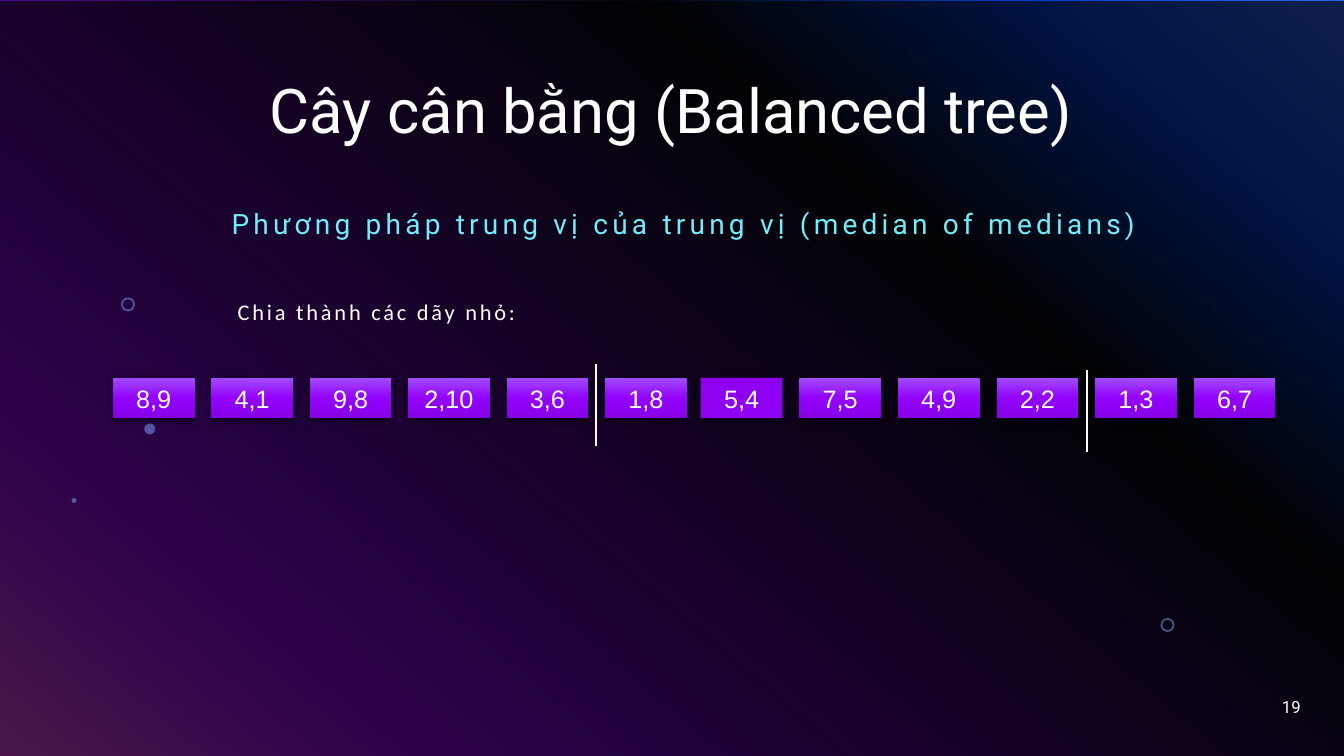
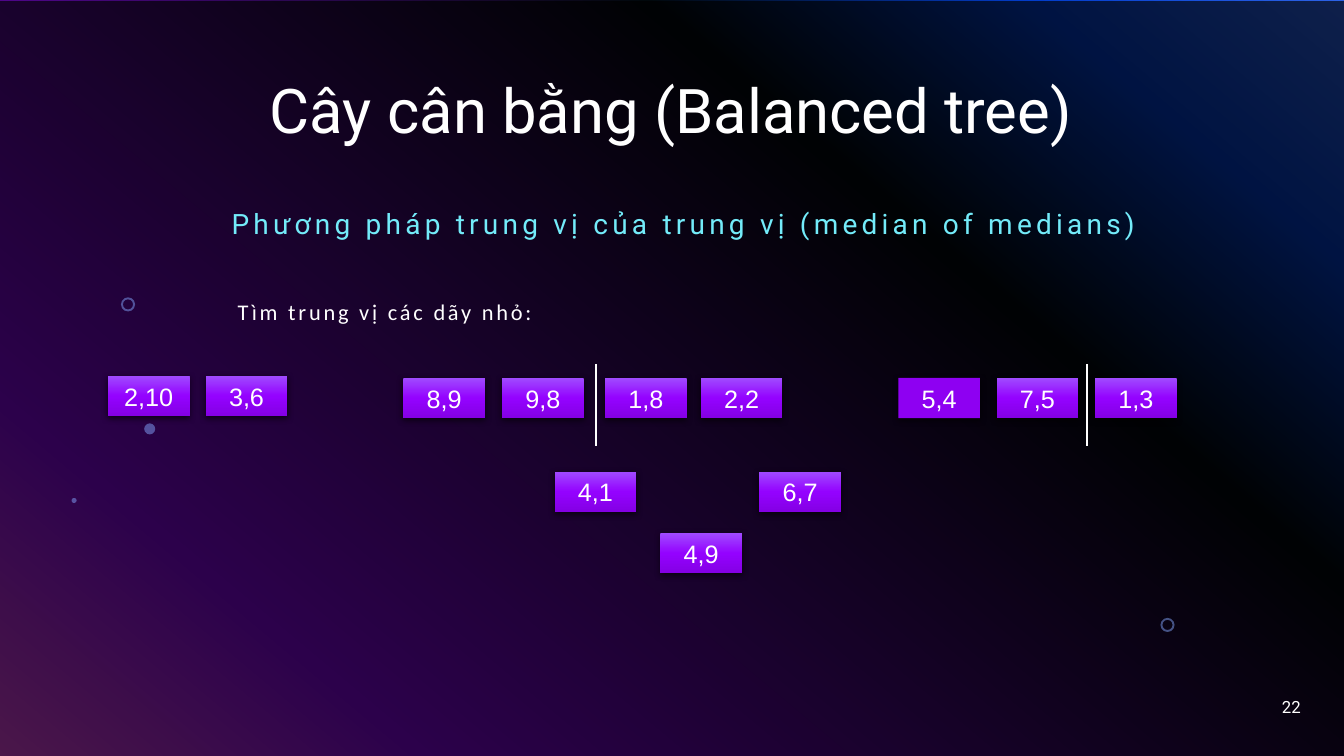
import pptx
import pptx.dml.color
import pptx.enum.shapes
import pptx.enum.text
import pptx.oxml
import pptx.oxml.ns
import pptx.util
from lxml import etree

Inches = pptx.util.Inches
Pt = pptx.util.Pt
qn = pptx.oxml.ns.qn
Shape = pptx.enum.shapes.MSO_SHAPE
Align = pptx.enum.text.PP_ALIGN
Anchor = pptx.enum.text.MSO_ANCHOR

COLORS = {
    "white": "FFFFFF",
    "veil": "000000",
    "subtitle": "73EBF9",
    "dot": "83A7FD",
    "pivot": "8E00F2",
}
BACKGROUND_STOPS = [(0, "316CFC"), (14, "0343DF"), (31, "02090E"), (81, "9405FC"), (100, "FC4EFB")]
BOX_STOPS = [(0, "A04BFF"), (50, "9402FF"), (100, "8400E4")]
BOX_WIDTH, BOX_HEIGHT = 0.81, 0.4
PIVOT = "5,4"
DIVIDER_LEFTS = (5.91, 10.78)
DIVIDER_HEIGHT = 0.81

DOTS = [
    (Shape.DONUT, 11.51, 6.13, 0.14),
    (Shape.DONUT, 1.2, 2.95, 0.14),
    (Shape.OVAL, 1.43, 4.2, 0.11),
    (Shape.OVAL, 0.71, 4.94, 0.05),
]

SLIDES = [
    {
        "number": "19",
        "step": "Chia thành các dãy nhỏ:",
        "divider_tops": (3.61, 3.67),
        "rows": [
            (["8,9", "4,1", "9,8", "2,10", "3,6", "1,8"], 1.12, 6, 3.75),
            (["5,4", "7,5", "4,9", "2,2", "1,3", "6,7"], 6.95, 11.84, 3.75),
        ],
    },
    {
        "number": "22",
        "step": "Tìm trung vị các dãy nhỏ:",
        "divider_tops": (3.61, 3.61),
        "rows": [
            (["2,10", "3,6"], 1.07, 2.04, 3.73),
            (["8,9", "9,8"], 4, 4.98, 3.75),
            (["1,8", "2,2"], 6, 6.95, 3.75),
            (["5,4", "7,5", "1,3"], 8.91, 10.86, 3.75),
            (["4,1", "6,7"], 5.5, 7.53, 4.68),
            (["4,9"], 6.55, 6.55, 5.29),
        ],
    },
]


def color(name):
    return pptx.dml.color.RGBColor.from_string(COLORS[name])


def add_alpha(color_element, percent):
    etree.SubElement(color_element, qn("a:alpha")).set("val", str(percent * 1000))


def paint_gradient(fill, element, stops, angle):
    fill.gradient()
    fill.gradient_angle = 360 - angle
    stop_list = next(element.iter(qn("a:gsLst")))
    for stop in list(stop_list):
        stop_list.remove(stop)
    for position, value in stops:
        stop = etree.SubElement(stop_list, qn("a:gs"), pos=str(position * 1000))
        etree.SubElement(stop, qn("a:srgbClr"), val=value)


def add_shape(page, kind, left, top, width, height):
    shape = page.shapes.add_shape(kind, Inches(left), Inches(top), Inches(width), Inches(height))
    shape.shadow.inherit = False
    shape.line.fill.background()
    return shape


def add_translucent(page, kind, left, top, width, height, name, opacity):
    shape = add_shape(page, kind, left, top, width, height)
    shape.fill.solid()
    shape.fill.fore_color.rgb = color(name)
    add_alpha(next(shape.element.spPr.iter(qn("a:srgbClr"))), opacity)
    return shape


def write(frame, text, size, font, name="white", align=Align.CENTER, spacing=0):
    para = frame.paragraphs[0]
    para.text = text
    para.alignment = align
    para.font.size = Pt(size)
    para.font.name = font
    para.font.color.rgb = color(name)
    if spacing:
        next(para._p.iter(qn("a:defRPr"))).set("spc", str(spacing * 100))
    return para


def add_text(page, left, top, width, height, text, size, font, anchor=Anchor.MIDDLE,
             line_spacing=0.9, **style):
    box = page.shapes.add_textbox(Inches(left), Inches(top), Inches(width), Inches(height))
    frame = box.text_frame
    frame.word_wrap = True
    frame.vertical_anchor = anchor
    write(frame, text, size, font, **style).line_spacing = line_spacing


def add_drop_shadow(shape):
    effects = next(shape.element.spPr.iter(qn("a:effectLst")))
    shadow = etree.SubElement(effects, qn("a:outerShdw"), blurRad=str(Pt(4.5)), dist=str(Pt(1.5)),
                              dir=str(90 * 60000), algn="ctr", rotWithShape="0")
    add_alpha(etree.SubElement(shadow, qn("a:srgbClr"), val=COLORS["veil"]), 63)


def add_value_box(page, text, left, top):
    box = add_shape(page, Shape.RECTANGLE, left, top, BOX_WIDTH, BOX_HEIGHT)
    if text == PIVOT:
        box.fill.solid()
        box.fill.fore_color.rgb = color("pivot")
    else:
        paint_gradient(box.fill, box.element, BOX_STOPS, 90)
    add_drop_shadow(box)
    box.text_frame.vertical_anchor = Anchor.TOP
    box.text_frame.auto_size = pptx.enum.text.MSO_AUTO_SIZE.SHAPE_TO_FIT_TEXT
    write(box.text_frame, text, 18, "Arial")


def add_row(page, values, first, last, top):
    pitch = (last - first) / max(len(values) - 1, 1)
    for index, value in enumerate(values):
        add_value_box(page, value, first + index * pitch, top)


def add_divider(page, left, top):
    line = page.shapes.add_connector(
        pptx.enum.shapes.MSO_CONNECTOR.STRAIGHT,
        Inches(left), Inches(top), Inches(left), Inches(top + DIVIDER_HEIGHT))
    line.line.color.rgb = color("white")
    line.line.width = Pt(1.5)
    etree.SubElement(line.element.spPr, qn("a:effectLst"))


def add_backdrop(page):
    add_translucent(page, Shape.RECTANGLE, 0, 0.01, 13.33, 7.49, "veil", 70)
    for kind, left, top, size in DOTS:
        dot = add_translucent(page, kind, left, top, size, size, "dot", 49)
        if kind == Shape.DONUT:
            dot.adjustments[0] = 0.14


def build_slide(deck, content):
    page = deck.slides.add_slide(deck.slide_layouts[6])
    add_backdrop(page)
    add_text(page, 0.91, 0.4, 11.5, 1.45, "Cây cân bằng (Balanced tree)", 44, "Roboto")
    add_text(page, 1.72, 1.96, 10.12, 0.56, "Phương pháp trung vị của trung vị (median of medians)",
             20, "Roboto", name="subtitle", spacing=3)
    add_text(page, 2.26, 2.94, 9.86, 0.4, content["step"], 16, "Calibri",
             anchor=Anchor.TOP, align=Align.LEFT, spacing=2)
    add_text(page, 10, 6.81, 3, 0.4, content["number"], 12, "Roboto",
             line_spacing=1, align=Align.RIGHT)
    for row in content["rows"]:
        add_row(page, *row)
    for left, top in zip(DIVIDER_LEFTS, content["divider_tops"]):
        add_divider(page, left, top)


def main():
    deck = pptx.Presentation()
    deck.slide_width, deck.slide_height = Inches(13.33), Inches(7.5)
    master = deck.slide_master
    paint_gradient(master.background.fill, master.element, BACKGROUND_STOPS, 130)
    for content in SLIDES:
        build_slide(deck, content)
    deck.save("out.pptx")


if __name__ == "__main__":
    main()
